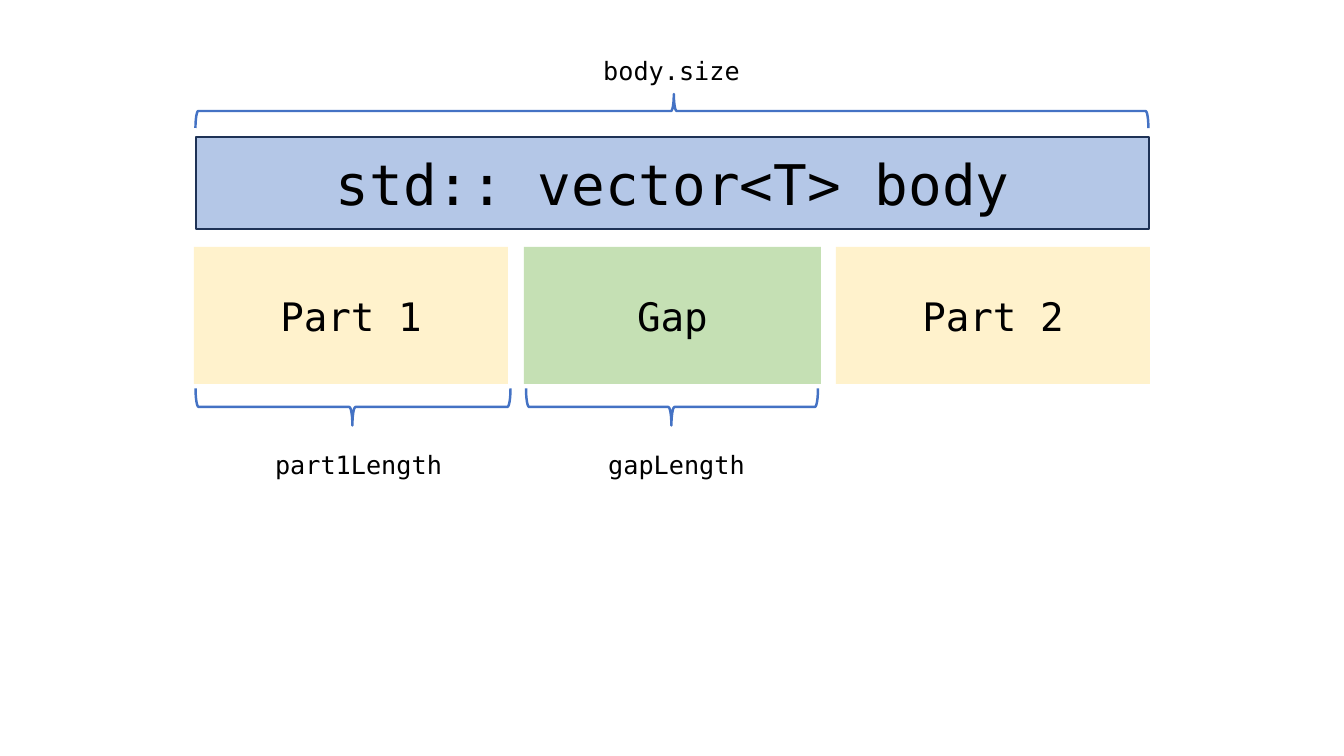
"""Draws a gap buffer: a vector body split into two parts around a gap."""
from pptx import Presentation
from pptx.dml.color import RGBColor
from pptx.enum.shapes import MSO_SHAPE
from pptx.enum.text import MSO_AUTO_SIZE, PP_ALIGN
from pptx.util import Pt

PX = 914400 / 100.8
HEX = {"body": "B4C7E7", "edge": "1E3256", "part": "FFF2CC",
       "gap": "C5E0B4", "brace": "4472C4", "text": "000000"}


def color(name):
    return RGBColor.from_string(HEX[name])


def write(shape, text, size):
    para = shape.text_frame.paragraphs[0]
    para.text = text
    para.alignment = PP_ALIGN.CENTER
    para.font.name = "DejaVu Sans Mono"
    para.font.size = Pt(size)
    para.font.color.rgb = color("text")


deck = Presentation()
deck.slide_width = round(1344 * PX)
deck.slide_height = round(756 * PX)
shapes = deck.slides.add_slide(deck.slide_layouts[6]).shapes

boxes = [
    ("std:: vector<T> body", 40, "body", 196, 137, 953, 92),
    ("Part 1", 28, "part", 194, 247, 314, 137),
    ("Gap", 28, "gap", 524, 247, 297, 137),
    ("Part 2", 28, "part", 836, 247, 314, 137),
]
for text, size, fill, *area in boxes:
    box = shapes.add_shape(MSO_SHAPE.RECTANGLE, *[round(n * PX) for n in area])
    box.shadow.inherit = False
    box.fill.solid()
    box.fill.fore_color.rgb = color(fill)
    if fill == "body":
        box.line.color.rgb = color("edge")
        box.line.width = Pt(1)
    else:
        box.line.fill.background()
    write(box, text, size)

braces = [
    ("body.size", 672, 111, 34, 953, 270, 515, 50, 313),
    ("part1Length", 353, 407, 37, 315, 90, 202, 444, 313),
    ("gapLength", 672, 407, 37, 292, 90, 531, 444, 291),
]
for text, mid, row, thick, span, turn, left, top, width in braces:
    area = mid - thick / 2, row - span / 2, thick, span
    brace = shapes.add_shape(MSO_SHAPE.RIGHT_BRACE, *[round(n * PX) for n in area])
    brace.rotation = turn
    brace.adjustments[0] = 0.083
    brace.adjustments[1] = 0.502
    brace.shadow.inherit = False
    brace.fill.background()
    brace.line.color.rgb = color("brace")
    brace.line.width = Pt(1.75)

    label = shapes.add_textbox(*[round(n * PX) for n in (left, top, width, 40)])
    label.text_frame.word_wrap = True
    label.text_frame.auto_size = MSO_AUTO_SIZE.SHAPE_TO_FIT_TEXT
    write(label, text, 18)

deck.save("out.pptx")
